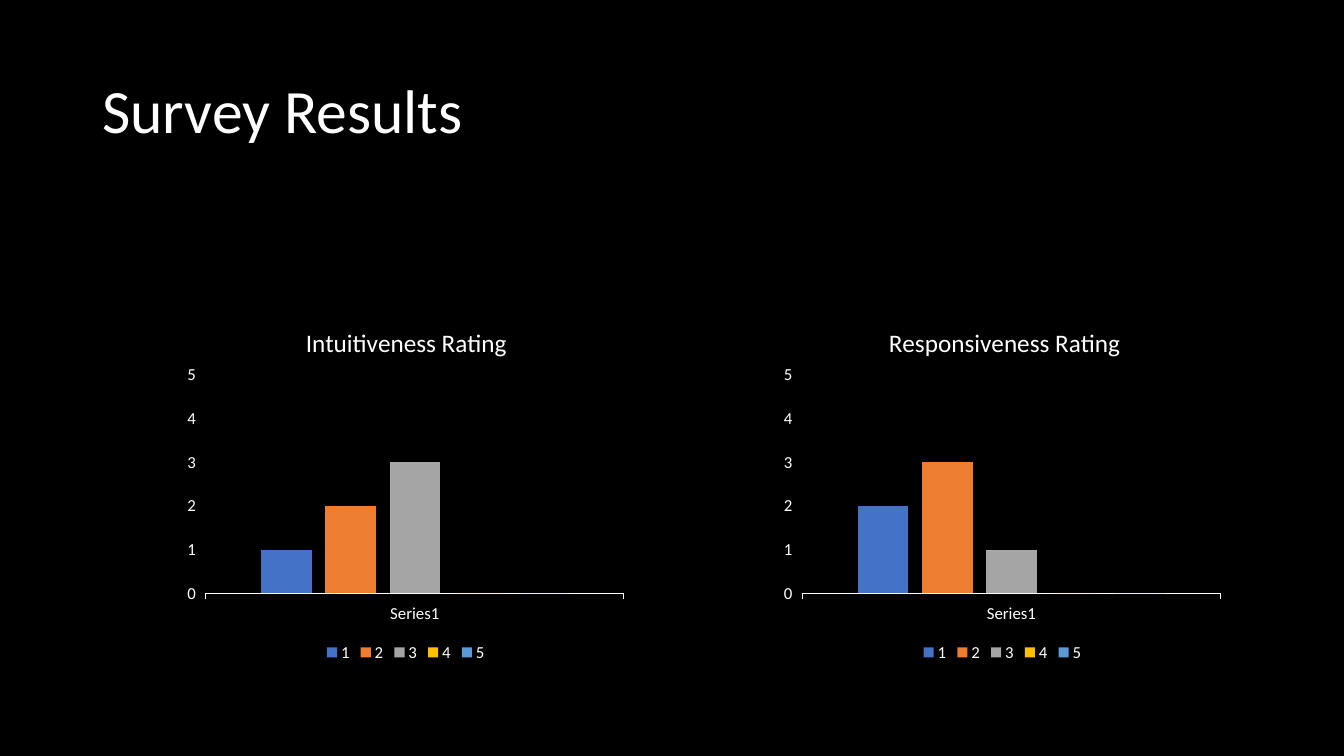
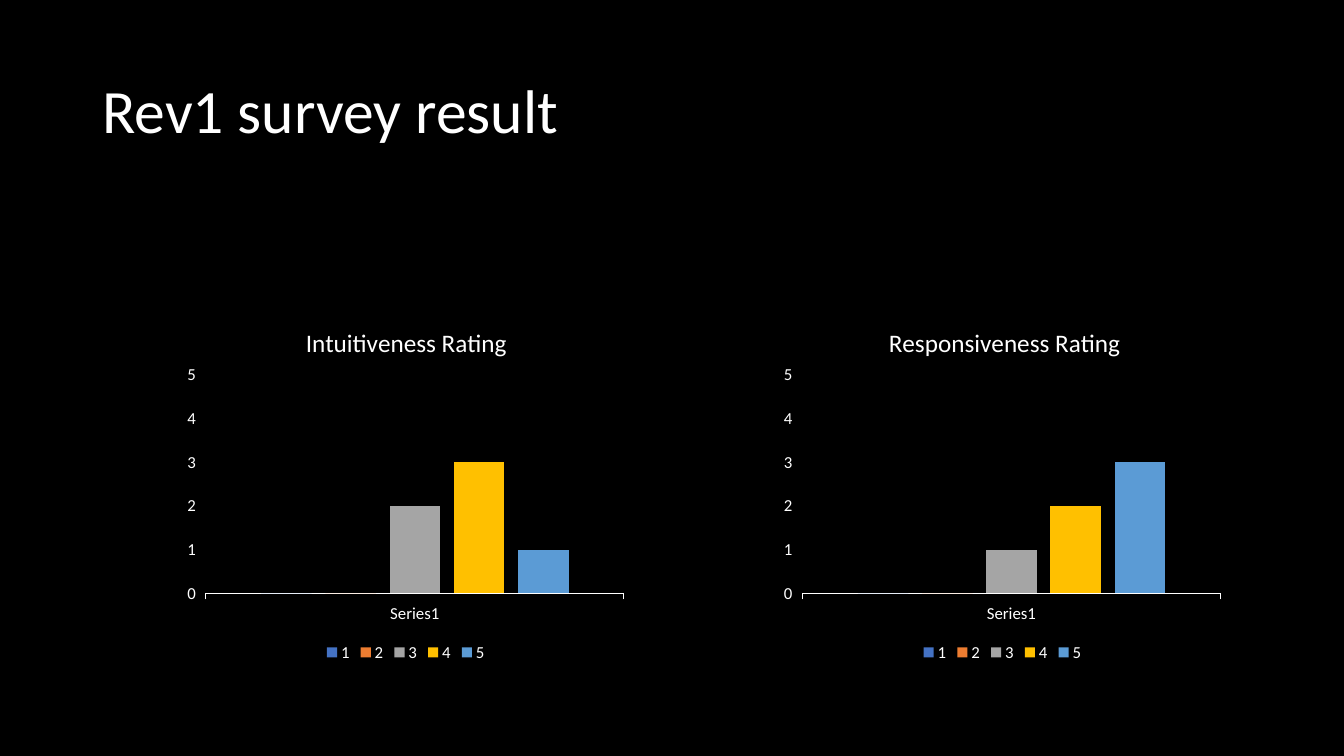
import pptx
import pptx.chart.data
import pptx.dml.color
import pptx.enum.chart
import pptx.enum.text
import pptx.oxml
import pptx.oxml.ns
import pptx.util

Pt = pptx.util.Pt
FONT = "Calibri"
COLORS = {
    "background": "000000",
    "text": "FFFFFF",
    "1": "4472C4",
    "2": "ED7D31",
    "3": "A5A5A5",
    "4": "FFC000",
    "5": "5B9BD5",
}
TITLE_BOX = (66, 28.8, 828, 104.4)
CHART_BOX = (127.5, 216, 324.7, 260)
CHART_STEP = 426.2
CHART_TITLES = (("Intuitiveness Rating", 0.27), ("Responsiveness Rating", 0.24))
SURVEYS = (
    ("Survey Results", ((1, 2, 3, 0, 0), (2, 3, 1, 0, 0))),
    ("Rev1 survey result", ((0, 0, 2, 3, 1), (0, 0, 1, 2, 3))),
)


def color(name):
    """Return the named palette colour."""
    return pptx.dml.color.RGBColor.from_string(COLORS[name])


def format_font(font, size):
    """Apply the shared typeface and text colour."""
    font.name = FONT
    font.size = Pt(size)
    font.bold = False
    font.color.rgb = color("text")


def write_text(text_frame, text, size=18, line_spacing=None):
    """Write one formatted paragraph into a text frame."""
    paragraph = text_frame.paragraphs[0]
    paragraph.line_spacing = line_spacing
    run = paragraph.add_run()
    run.text = text
    format_font(run.font, size)


def set_layout(parent, index, inner=False, **fractions):
    """Place a chart part by fractions of the chart box."""
    for layout in parent.findall(pptx.oxml.ns.qn("c:layout")):
        parent.remove(layout)
    target = '<c:layoutTarget val="inner"/>' if inner else ""
    modes = '<c:xMode val="edge"/><c:yMode val="edge"/>'
    values = "".join(f'<c:{key} val="{value}"/>' for key, value in fractions.items())
    parent.insert(index, pptx.oxml.parse_xml(
        f'<c:layout {pptx.oxml.ns.nsdecls("c")}><c:manualLayout>'
        f"{target}{modes}{values}</c:manualLayout></c:layout>"
    ))


def add_title(slide, text, box):
    """Add the slide title in the given box."""
    text_frame = slide.shapes.add_textbox(*map(Pt, box)).text_frame
    text_frame.word_wrap = True
    text_frame.vertical_anchor = pptx.enum.text.MSO_ANCHOR.MIDDLE
    write_text(text_frame, text, size=44, line_spacing=0.9)


def format_axes(chart):
    """Style the category and rating axes."""
    for axis in (chart.category_axis, chart.value_axis):
        axis.has_major_gridlines = False
        axis.major_tick_mark = pptx.enum.chart.XL_TICK_MARK.OUTSIDE
        format_font(axis.tick_labels.font, 12)
    category_line = chart.category_axis.format.line
    category_line.color.rgb = color("text")
    category_line.width = Pt(0.75)
    ratings = chart.value_axis
    ratings.format.line.fill.background()
    ratings.minimum_scale = 0
    ratings.maximum_scale = 5
    ratings.major_unit = 1


def add_rating_chart(slide, title, title_left, values, box):
    """Add a column chart of rating counts in the given box."""
    data = pptx.chart.data.CategoryChartData()
    data.categories = ["Series1"]
    for rating, value in enumerate(values, 1):
        data.add_series(str(rating), [value])
    chart = slide.shapes.add_chart(
        pptx.enum.chart.XL_CHART_TYPE.COLUMN_CLUSTERED, *map(Pt, box), data
    ).chart
    format_font(chart.font, 10)
    write_text(chart.chart_title.text_frame, title)
    set_layout(chart.chart_title._element, 1, x=title_left, y=0.05)
    plot_area = chart._chartSpace.find(".//" + pptx.oxml.ns.qn("c:plotArea"))
    set_layout(plot_area, 0, inner=True, x=0.06, y=0.2, w=0.92, h=0.6)
    format_axes(chart)
    plot = chart.plots[0]
    plot.gap_width = 219
    plot.overlap = -27
    plot.vary_by_categories = False
    for series in plot.series:
        series.format.fill.solid()
        series.format.fill.fore_color.rgb = color(series.name)
    chart.has_legend = True
    chart.legend.position = pptx.enum.chart.XL_LEGEND_POSITION.BOTTOM
    chart.legend.include_in_layout = False
    format_font(chart.legend.font, 12)


def add_survey_slide(presentation, title, ratings):
    """Add a slide with a title and its row of rating charts."""
    slide = presentation.slides.add_slide(presentation.slide_layouts[6])
    add_title(slide, title, TITLE_BOX)
    left, top, width, height = CHART_BOX
    for column, ((chart_title, title_left), values) in enumerate(zip(CHART_TITLES, ratings)):
        box = (left + column * CHART_STEP, top, width, height)
        add_rating_chart(slide, chart_title, title_left, values, box)


def main():
    """Build and save the survey presentation."""
    presentation = pptx.Presentation()
    presentation.slide_width = Pt(960)
    presentation.slide_height = Pt(540)
    background = presentation.slide_master.background.fill
    background.solid()
    background.fore_color.rgb = color("background")
    for title, ratings in SURVEYS:
        add_survey_slide(presentation, title, ratings)
    presentation.save("out.pptx")


if __name__ == "__main__":
    main()
